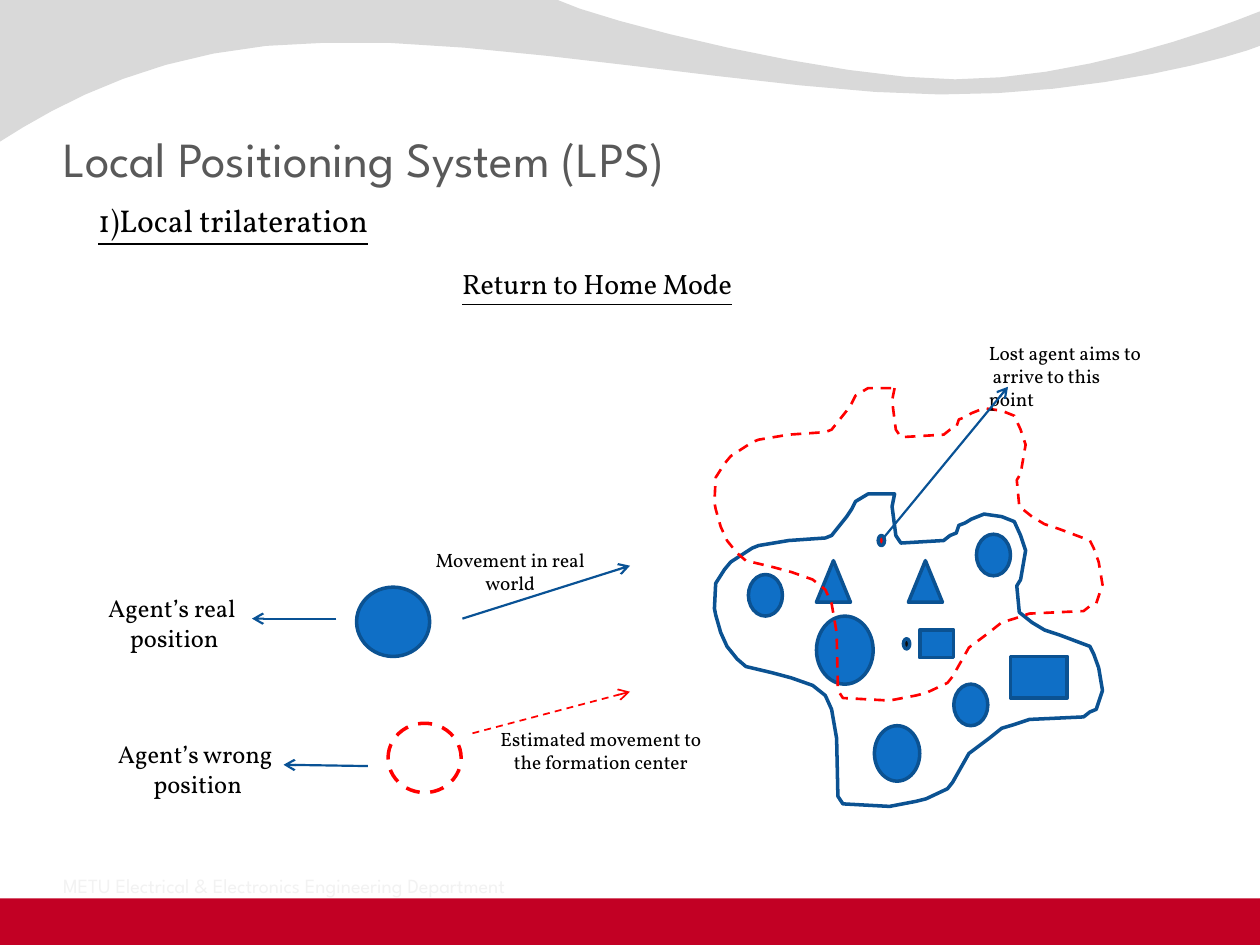
from lxml import etree
from pptx import Presentation
from pptx.dml.color import RGBColor
from pptx.enum.dml import MSO_LINE
from pptx.enum.shapes import MSO_CONNECTOR, MSO_SHAPE
from pptx.enum.text import MSO_ANCHOR, MSO_AUTO_SIZE, PP_ALIGN
from pptx.oxml.ns import qn
from pptx.util import Pt

RECT, OVAL, TRIANGLE = MSO_SHAPE.RECTANGLE, MSO_SHAPE.OVAL, MSO_SHAPE.ISOSCELES_TRIANGLE
STRAIGHT, DASH = MSO_CONNECTOR.STRAIGHT, MSO_LINE.DASH
TOP, BOTTOM = MSO_ANCHOR.TOP, MSO_ANCHOR.BOTTOM
LEFT, CENTER = PP_ALIGN.LEFT, PP_ALIGN.CENTER
PX = 9144  # EMU per px, 100 px to the inch
STEPS = 8  # straight pieces per wave curve


class Theme:
    RED_BAR, GREY_WAVE = "C20024", "D9D9D9"
    BLUE, EDGE, ARROW, RED = "0F6FC6", "0B5292", "095295", "FF0000"
    DOT, TEXT, TITLE, FOOTER = "0D0D0D", "000000", "595959", "F2F2F2"
    HEAD_FONT, BODY_FONT = "League Spartan", "Vollkorn"
    TITLE_PT, SECTION_PT, MODE_PT, LABEL_PT, NOTE_PT, FOOTER_PT = 28, 18, 16, 14, 11, 11.5


prs = Presentation()
prs.slide_width, prs.slide_height = 1000 * PX, 750 * PX
s = prs.slides.add_slide(prs.slide_layouts[5])


def add_text(text, box, size, sp=None, font=Theme.BODY_FONT, color=Theme.TEXT,
             align=LEFT, anchor=TOP, underline=None, insets=(10, 5, 10, 5)):
    box = [v * PX for v in box]
    if sp is None:
        sp = s.shapes.add_textbox(*box)
    sp.left, sp.top, sp.width, sp.height = box
    tf = sp.text_frame
    tf.word_wrap, tf.auto_size, tf.vertical_anchor = True, MSO_AUTO_SIZE.NONE, anchor
    tf.margin_left, tf.margin_top, tf.margin_right, tf.margin_bottom = [v * PX for v in insets]
    for i, line in enumerate(text.split("\n")):
        p = tf.add_paragraph() if i else tf.paragraphs[0]
        p.alignment = align
        r = p.add_run()
        r.text = line
        r.font.name, r.font.size, r.font.underline = font, Pt(size), underline
        r.font.color.rgb = RGBColor.from_string(color)


def add_part(kind, box=None, points=None, fill=None, line=None, width=2, dash=None):
    if points:
        pts = [(x * PX, y * PX) for x, y in points]
        builder = s.shapes.build_freeform(*pts[0], scale=1.0)
        builder.add_line_segments(pts[1:], close=True)
        sp = builder.convert_to_shape()
    else:
        sp = s.shapes.add_shape(kind, *[v * PX for v in box])
    sp.shadow.inherit = False
    if fill:
        sp.fill.solid()
        sp.fill.fore_color.rgb = RGBColor.from_string(fill)
    else:
        sp.fill.background()
    if line:
        sp.line.color.rgb = RGBColor.from_string(line)
        sp.line.width = Pt(width)
        sp.line.dash_style = dash
    else:
        sp.line.fill.background()


# Header wave from its cubic curves
wave = [(0, -1)]
for p0, p1, p2, p3 in [
    [(440, -1), (476, 17), (664, 63), (758, 63)],
    [(758, 63), (853, 63), (958, 26), (1000, 9)],
    [(1001, 36), (983, 44), (870, 76), (746, 75)],
    [(746, 75), (622, 75), (382, 28), (257, 34)],
    [(257, 34), (129, 35), (46, 83), (-1, 113)],
]:
    for t in [n / STEPS for n in range(STEPS + 1)]:
        u = 1 - t
        wave.append([u**3 * p0[k] + 3 * u * u * t * p1[k] + 3 * u * t * t * p2[k]
                     + t**3 * p3[k] for k in (0, 1)])

# Edge of the formation
formation = [
    (710, 392), (708, 402), (711, 425), (715, 431), (749, 429), (754, 425), (759, 423),
    (761, 417), (766, 415), (771, 412), (781, 408), (795, 410), (805, 414), (810, 425),
    (814, 437), (810, 460), (807, 465), (809, 486), (819, 494), (829, 500), (841, 504),
    (865, 513), (868, 519), (872, 530), (875, 548), (870, 563), (865, 565), (860, 569),
    (817, 571), (805, 575), (795, 578), (785, 586), (769, 598), (756, 621), (752, 626),
    (735, 634), (727, 636), (706, 640), (669, 638), (665, 632), (664, 586), (660, 563),
    (655, 552), (645, 544), (628, 538), (613, 534), (592, 529), (585, 523), (577, 513),
    (572, 502), (568, 488), (567, 483), (568, 463), (575, 452), (580, 446), (597, 435),
    (602, 433), (626, 429), (655, 427), (660, 425), (672, 410), (676, 404), (679, 398),
    (689, 392),
]

# Background and headings
add_part(RECT, (0, 713, 1000, 37), fill=Theme.RED_BAR)
add_part(None, points=wave, fill=Theme.GREY_WAVE)
add_text("Local Positioning System (LPS)", (50, 37, 900, 112), Theme.TITLE_PT,
         sp=s.shapes.title, font=Theme.HEAD_FONT, color=Theme.TITLE, anchor=BOTTOM,
         insets=(0, 5, 0, 0))
add_text("METU Electrical & Electronics Engineering Department", (50, 683, 438, 29),
         Theme.FOOTER_PT, font=Theme.HEAD_FONT, color=Theme.FOOTER, anchor=BOTTOM,
         insets=(0, 0, 0, 0))
add_text("1)Local trilateration", (68, 155, 892, 40), Theme.SECTION_PT, underline=True)
add_text("Return to Home Mode", (357, 207, 237, 37), Theme.MODE_PT, underline=True)

# Real formation, its members, and the wrongly estimated formation above it
add_part(None, points=formation, line=Theme.EDGE)
for kind, box in [
    (OVAL, (594, 456, 27, 33)), (OVAL, (648, 489, 45, 54)), (OVAL, (775, 424, 27, 33)),
    (OVAL, (757, 543, 27, 33)), (OVAL, (694, 576, 36, 44)),
    (TRIANGLE, (648, 445, 27, 33)), (TRIANGLE, (721, 445, 27, 33)),
    (RECT, (802, 521, 45, 33)), (RECT, (730, 500, 27, 22)),
]:
    add_part(kind, box, fill=Theme.BLUE, line=Theme.EDGE)
add_part(None, points=[(x, y - 84) for x, y in formation], line=Theme.RED, width=1.5, dash=DASH)

# Lost agent: real and wrong position, and the two formation centres
add_part(OVAL, (283, 466, 58, 55), fill=Theme.BLUE, line=Theme.EDGE)
add_part(OVAL, (308, 574, 58, 55), line=Theme.RED, dash=DASH)
add_part(OVAL, (717, 507, 5, 8), fill=Theme.DOT, line=Theme.EDGE)
add_part(OVAL, (697, 425, 5, 8), fill=Theme.RED, line=Theme.EDGE)

# Labels
for text, box, size, align in [
    ("Agent’s real\n position", (75, 466, 123, 57), Theme.LABEL_PT, CENTER),
    ("Agent’s wrong\n position", (83, 582, 144, 57), Theme.LABEL_PT, CENTER),
    ("Estimated movement to\nthe formation center", (384, 572, 186, 47), Theme.NOTE_PT, CENTER),
    ("Movement in real world", (315, 430, 180, 29), Theme.NOTE_PT, CENTER),
    ("Lost agent aims to\n arrive to this point", (775, 266, 146, 47), Theme.NOTE_PT, LEFT),
]:
    add_text(text, box, size, align=align)

# Arrows
for ends, color, width, dash in [
    ((267, 491, 200, 491), Theme.ARROW, 1.25, None),
    ((292, 608, 225, 607), Theme.ARROW, 1.25, None),
    ((375, 582, 500, 549), Theme.RED, 1, DASH),
    ((367, 491, 500, 449), Theme.ARROW, 1.25, None),
    ((702, 426, 800, 307), Theme.ARROW, 1.25, None),
]:
    cn = s.shapes.add_connector(STRAIGHT, *[v * PX for v in ends])
    cn.line.color.rgb = RGBColor.from_string(color)
    cn.line.width, cn.line.dash_style = Pt(width), dash
    spPr = cn._element.spPr
    etree.SubElement(spPr.find(qn("a:ln")), qn("a:tailEnd"), type="arrow")
    etree.SubElement(spPr, qn("a:effectLst"))

prs.save("out.pptx")
